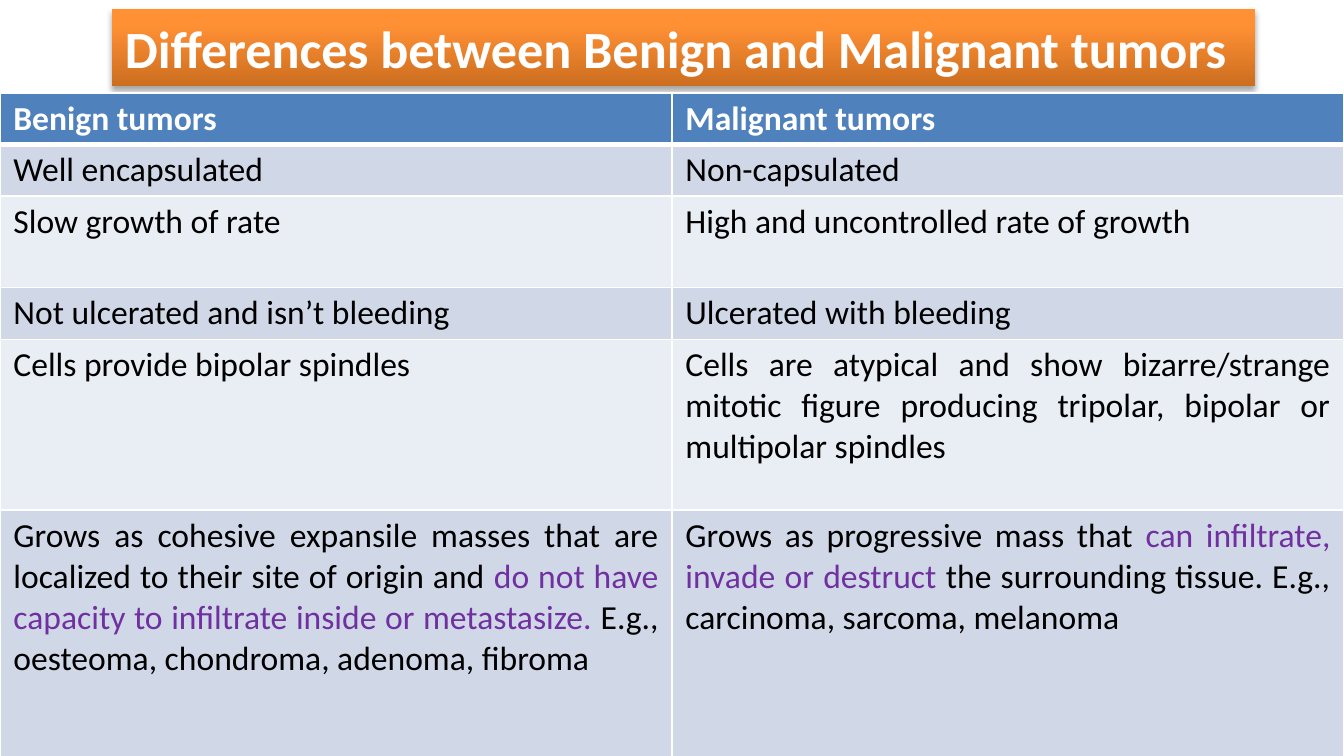
"""Build a slide comparing benign and malignant tumors in a table."""
from lxml import etree
from pptx import Presentation, util as u
from pptx.dml.color import RGBColor
from pptx.enum import text
from pptx.oxml import parse_xml
from pptx.oxml.ns import nsdecls, qn

COLORS = {
    "white": "FFFFFF", "black": "000000", "purple": "7030A0",
    "header": "4F81BD", "band_dark": "D0D8E8", "band_light": "E9EDF4",
    "orange_dark": "CC6E20", "orange": "FF9034", "orange_light": "FF9136",
}
TITLE = "Differences between Benign and Malignant tumors"
ROW_HEIGHTS = [0.38, 0.38, 0.68, 0.38, 1.27, 1.88]
ROWS = [
    (["Benign tumors"], ["Malignant tumors"]),
    (["Well encapsulated"], ["Non-capsulated"]),
    (["Slow growth of rate"], ["High and uncontrolled rate of growth"]),
    (["Not ulcerated and isn’t bleeding"], ["Ulcerated with bleeding"]),
    (["Cells provide bipolar spindles"],
     ["Cells are atypical and show bizarre/strange mitotic figure producing "
      "tripolar, bipolar or multipolar spindles"]),
    (["Grows as cohesive expansile masses that are localized to their site of origin and ",
      "do not have capacity to infiltrate inside or metastasize. ",
      "E.g., oesteoma, chondroma, adenoma, fibroma"],
     ["Grows as progressive mass that ",
      "can infiltrate, invade or destruct ",
      "the surrounding tissue. E.g., carcinoma, sarcoma, melanoma"]),
]


class Slide:
    """Holds the style and the current slide."""

    font = "Calibri"
    title_size = 28
    cell_size = 18

    def __init__(self, deck):
        """Add a title-only page to the deck."""
        self.page = deck.slides.add_slide(deck.slide_layouts[5])

    def add_span(self, para, words, size, color, bold=False):
        """Add one formatted run to a paragraph."""
        span = para.add_run()
        span.text = words
        span.font.name = self.font
        span.font.size = u.Pt(size)
        span.font.bold = bold
        span.font.color.rgb = RGBColor.from_string(COLORS[color])

    def add_title(self, words, left, top, width, height):
        """Turn the title placeholder into a shaded banner."""
        box = self.page.shapes.title
        box.left, box.top = u.Inches(left), u.Inches(top)
        box.width, box.height = u.Inches(width), u.Inches(height)
        stops = [(0, "orange_dark"), (80, "orange"), (100, "orange_light")]
        stop_xml = "".join(
            f'<a:gs pos="{pos * 1000}"><a:srgbClr val="{COLORS[name]}"/></a:gs>'
            for pos, name in stops)
        properties = box.element.spPr
        properties.append(parse_xml(
            f'<a:gradFill {nsdecls("a")} rotWithShape="1"><a:gsLst>{stop_xml}</a:gsLst>'
            '<a:lin ang="16200000" scaled="0"/></a:gradFill>'))
        properties.append(parse_xml(
            f'<a:effectLst {nsdecls("a")}><a:outerShdw blurRad="{u.Pt(3.1)}" '
            f'dist="{u.Pt(1.8)}" dir="5400000" rotWithShape="0">'
            f'<a:srgbClr val="{COLORS["black"]}"><a:alpha val="35000"/></a:srgbClr>'
            '</a:outerShdw></a:effectLst>'))
        frame = box.text_frame
        frame.word_wrap = True
        frame.auto_size = text.MSO_AUTO_SIZE.NONE
        frame.vertical_anchor = text.MSO_ANCHOR.TOP
        para = frame.paragraphs[0]
        para.alignment = text.PP_ALIGN.LEFT
        self.add_span(para, words, self.title_size, "white", True)

    def add_border(self, cell, side, points):
        """Draw one white border of a cell."""
        line = etree.SubElement(cell._tc.get_or_add_tcPr(), qn(f"a:ln{side}"),
                                w=str(u.Pt(points)))
        fill = etree.SubElement(line, qn("a:solidFill"))
        etree.SubElement(fill, qn("a:srgbClr"), val=COLORS["white"])

    def fill_cell(self, cell, spans, row):
        """Style one cell and write its runs, every second one highlighted."""
        header = row == 0
        band = "header" if header else "band_dark" if row % 2 else "band_light"
        for side in "LRTB":
            thick = (header and side == "B") or (row == 1 and side == "T")
            self.add_border(cell, side, 3 if thick else 1)
        cell.fill.solid()
        cell.fill.fore_color.rgb = RGBColor.from_string(COLORS[band])
        cell.margin_left = cell.margin_right = u.Inches(0.1)
        cell.margin_top = cell.margin_bottom = u.Inches(0.04)
        para = cell.text_frame.paragraphs[0]
        para.alignment = text.PP_ALIGN.JUSTIFY
        for index, words in enumerate(spans):
            color = "white" if header else "purple" if index % 2 else "black"
            self.add_span(para, words, self.cell_size, color, header)

    def add_table(self, rows, heights, left, top, width):
        """Add the comparison table with equal columns."""
        table = self.page.shapes.add_table(
            len(rows), len(rows[0]), u.Inches(left), u.Inches(top),
            u.Inches(width), u.Inches(sum(heights))).table
        for row, (cells, height) in enumerate(zip(rows, heights)):
            table.rows[row].height = u.Inches(height)
            for column, spans in enumerate(cells):
                self.fill_cell(table.cell(row, column), spans, row)


def main():
    """Build and save the deck."""
    deck = Presentation()
    deck.slide_width = u.Inches(10)
    deck.slide_height = deck.slide_width * 9 // 16
    slide = Slide(deck)
    slide.add_title(TITLE, 0.83, 0.07, 8.51, 0.57)
    slide.add_table(ROWS, ROW_HEIGHTS, 0, 0.69, 10)
    deck.save("out.pptx")


if __name__ == "__main__":
    main()
